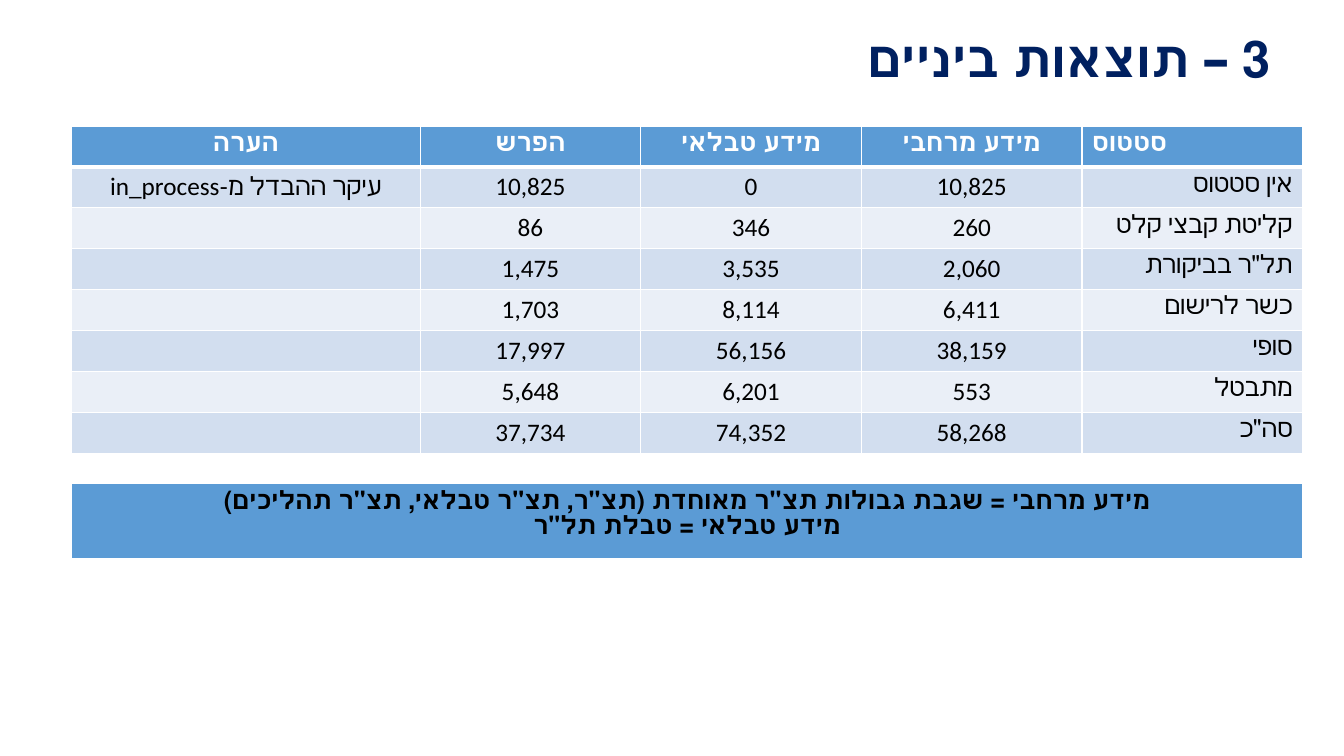
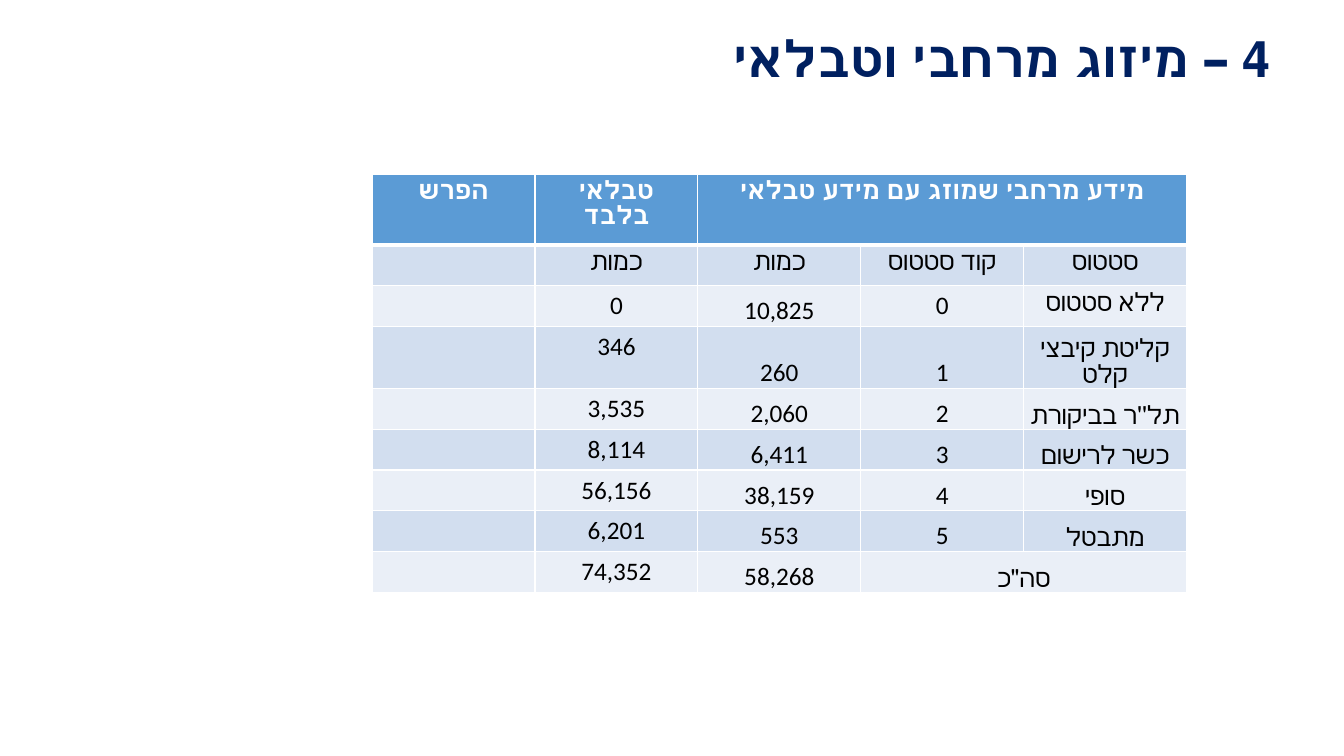
from dataclasses import dataclass, field

from lxml import etree
from pptx import Presentation, util as u
from pptx.dml.color import RGBColor
from pptx.enum import text
from pptx.oxml import ns

SLIDE_WIDTH, SLIDE_HEIGHT = 13.33, 7.5
FONT = "Calibri"
NAVY = RGBColor(0x00, 0x20, 0x60)
BLUE = RGBColor(0x5B, 0x9B, 0xD5)
BANDS = (RGBColor(0xD2, 0xDE, 0xEF), RGBColor(0xEA, 0xEF, 0xF7))
WHITE = RGBColor(0xFF, 0xFF, 0xFF)
BLACK = RGBColor(0x00, 0x00, 0x00)
LEFT, CENTER, RIGHT = text.PP_ALIGN.LEFT, text.PP_ALIGN.CENTER, text.PP_ALIGN.RIGHT
SPATIAL_COLUMNS = (2, 3, 4)


@dataclass(frozen=True)
class Grid:
    left: float
    top: float
    width: float
    height: float
    shares: tuple[float, ...]
    rows: tuple[tuple[str, ...], ...]
    header_color: RGBColor = WHITE
    aligns: dict[tuple[int, int], text.PP_ALIGN] = field(default_factory=dict)
    rtl: frozenset[tuple[int, int]] = frozenset()
    tight: frozenset[tuple[int, int]] = frozenset()
    merges: tuple[tuple[int, int, int], ...] = ()


@dataclass(frozen=True)
class Page:
    title: str
    grids: tuple[Grid, ...]


RESULTS = Grid(
    0.71, 1.25, 12.21, 3.25, (3.46, 2.19, 2.19, 2.19, 2.19),
    (
        ("הערה", "הפרש", "מידע טבלאי", "מידע מרחבי", "סטטוס"),
        ("עיקר ההבדל מ-in_process", "10,825", "0", "10,825", "אין סטטוס"),
        ("", "86", "346", "260", "קליטת קבצי קלט"),
        ("", "1,475", "3,535", "2,060", 'תל"ר בביקורת'),
        ("", "1,703", "8,114", "6,411", "כשר לרישום"),
        ("", "17,997", "56,156", "38,159", "סופי"),
        ("", "5,648", "6,201", "553", "מתבטל"),
        ("", "37,734", "74,352", "58,268", 'סה"כ'),
    ),
    aligns={(0, 4): LEFT} | {(row, 4): RIGHT for row in range(1, 8)},
    rtl=frozenset({(1, 0)}),
)

LEGEND = Grid(
    0.71, 4.8, 12.21, 0.75, (1,),
    (('מידע מרחבי = שגבת גבולות תצ"ר מאוחדת (תצ"ר, תצ"ר טבלאי, תצ"ר תהליכים)\n'
      'מידע טבלאי = טבלת תל"ר',),),
    header_color=BLACK,
    rtl=frozenset({(0, 0)}),
)

MERGED = Grid(
    3.69, 1.73, 8.08, 3.65, (1,) * 5,
    (
        ("הפרש", "טבלאי בלבד", "מידע מרחבי שמוזג עם מידע טבלאי", "", ""),
        ("", "כמות", "כמות", "קוד סטטוס", "סטטוס"),
        ("", "0", "10,825", "0", "ללא סטטוס"),
        ("", "346", "260", "1", "קליטת קיבצי קלט"),
        ("", "3,535", "2,060", "2", "תל''ר בביקורת"),
        ("", "8,114", "6,411", "3", "כשר לרישום"),
        ("", "56,156", "38,159", "4", "סופי"),
        ("", "6,201", "553", "5", "מתבטל"),
        ("", "74,352", "58,268", 'סה"כ', ""),
    ),
    tight=frozenset({(2, 2)} | {(row, column) for row in range(3, 9) for column in SPATIAL_COLUMNS}),
    merges=((0, 2, 4), (8, 3, 4)),
)

PAGES = (
    Page("3 – תוצאות ביניים", (RESULTS, LEGEND)),
    Page("4 – מיזוג מרחבי וטבלאי", (MERGED,)),
)


def write(frame, content: str, *, size: float = 18, color: RGBColor = BLACK, bold: bool = False,
          align: text.PP_ALIGN = CENTER, rtl: bool = False, spacing: float | None = None) -> None:
    for index, line in enumerate(content.split("\n")):
        para = frame.add_paragraph() if index else frame.paragraphs[0]
        para.alignment = align
        para.line_spacing = spacing
        if rtl:
            para._p.get_or_add_pPr().set("rtl", "1")
        span = para.add_run()
        span.text = line
        span.font.size = u.Pt(size)
        span.font.name = FONT
        span.font.bold = bold
        span.font.color.rgb = color


def add_borders(cell, bottom: float) -> None:
    properties = cell._tc.get_or_add_tcPr()
    for side, points in (("L", 1), ("R", 1), ("T", 1), ("B", bottom)):
        line = etree.SubElement(properties, ns.qn(f"a:ln{side}"), w=str(u.Pt(points)))
        fill = etree.SubElement(line, ns.qn("a:solidFill"))
        etree.SubElement(fill, ns.qn("a:srgbClr"), val=str(WHITE))


def fill_cell(cell, grid: Grid, row: int, column: int) -> None:
    place = (row, column)
    header = row == 0
    add_borders(cell, 3 if header else 1)
    cell.fill.solid()
    cell.fill.fore_color.rgb = BLUE if header else BANDS[(row - 1) % 2]
    if place in grid.tight:
        cell.vertical_anchor = text.MSO_ANCHOR.BOTTOM
        cell.margin_left = cell.margin_right = cell.margin_top = u.Inches(0.01)
        cell.margin_bottom = 0
    content = grid.rows[row][column]
    if content:
        write(cell.text_frame, content, color=grid.header_color if header else BLACK,
              bold=header, align=grid.aligns.get(place, CENTER), rtl=place in grid.rtl)


def draw_grid(page, grid: Grid) -> None:
    frame = page.shapes.add_table(
        len(grid.rows), len(grid.shares),
        *(u.Inches(length) for length in (grid.left, grid.top, grid.width, grid.height)))
    table = frame.table
    table.first_row = table.horz_banding = False
    for column, share in zip(table.columns, grid.shares):
        column.width = u.Inches(grid.width * share / sum(grid.shares))
    for row, first, last in grid.merges:
        table.cell(row, first).merge(table.cell(row, last))
    for row in range(len(grid.rows)):
        for column in range(len(grid.shares)):
            fill_cell(table.cell(row, column), grid, row, column)


def draw_title(page, title: str) -> None:
    box = page.shapes.add_textbox(u.Inches(0.62), u.Inches(0.27), u.Inches(12.08), u.Inches(0.68))
    box.text_frame.word_wrap = True
    box.text_frame.vertical_anchor = text.MSO_ANCHOR.MIDDLE
    write(box.text_frame, title, size=36, color=NAVY, bold=True, align=RIGHT, rtl=True, spacing=0.9)


def main() -> None:
    deck = Presentation()
    deck.slide_width = u.Inches(SLIDE_WIDTH)
    deck.slide_height = u.Inches(SLIDE_HEIGHT)
    for content in PAGES:
        page = deck.slides.add_slide(deck.slide_layouts[6])
        draw_title(page, content.title)
        for grid in content.grids:
            draw_grid(page, grid)
    deck.save("out.pptx")


if __name__ == "__main__":
    main()
